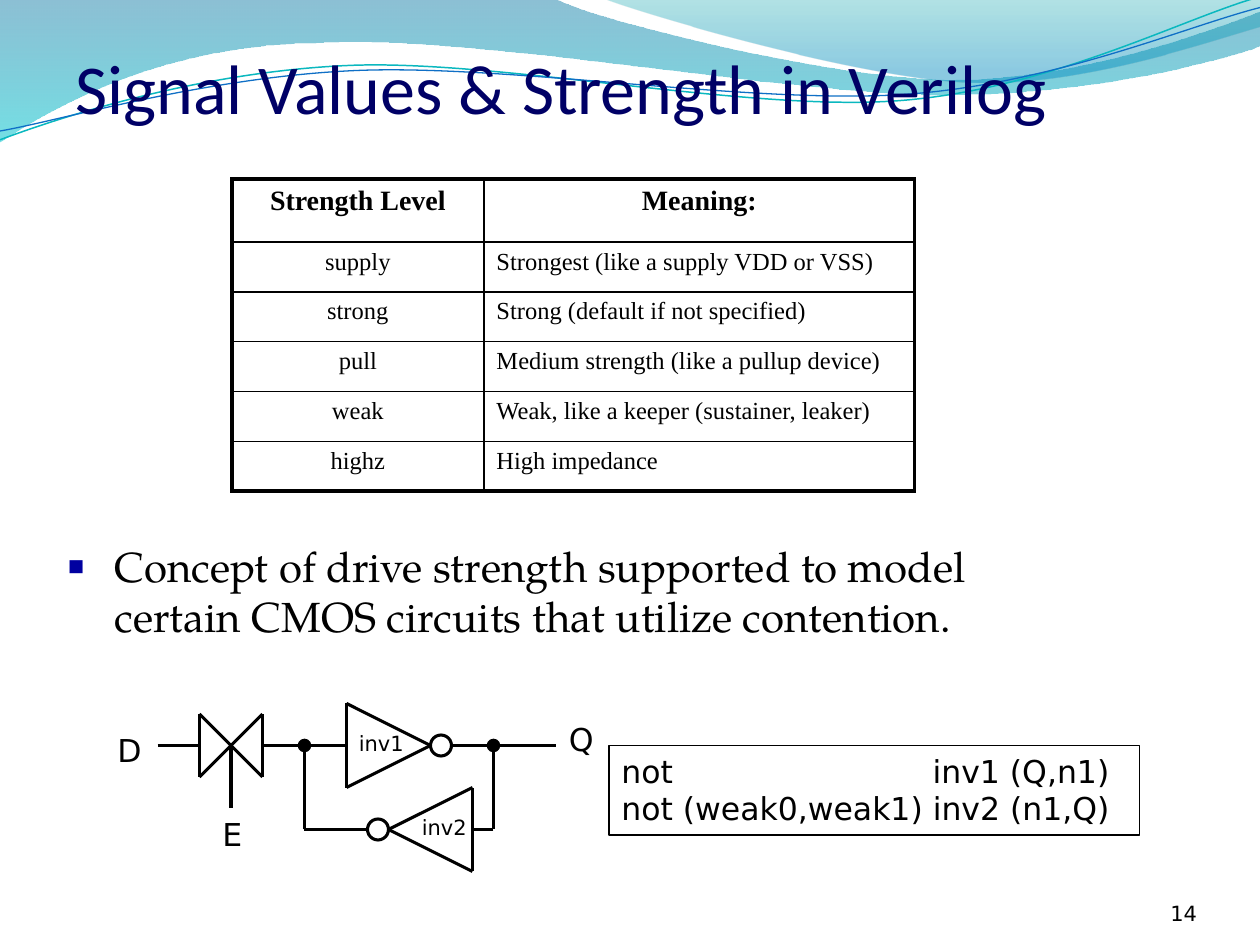
from itertools import pairwise

from lxml.etree import SubElement
from pptx import Presentation
from pptx.dml.color import RGBColor
from pptx.enum.shapes import MSO_CONNECTOR, MSO_SHAPE
from pptx.enum.text import MSO_ANCHOR, MSO_AUTO_SIZE, PP_ALIGN
from pptx.oxml.ns import qn
from pptx.util import Inches, Pt

COLORS = {
    "ink": "000000", "title": "000066", "bullet": "0000A0",
    "deep": "0074A1", "aqua": "00C6CF", "teal": "00A1A9", "sky": "008BBF",
    "cyan_line": "0AB8BF", "blue_line": "0F6FC6",
}
SANS, SERIF = "DejaVu Sans", "Times New Roman"
UNIT = 1 / 12
STROKE = 1.75

ROWS = [
    ("Strength Level", "Meaning:"),
    ("supply", "Strongest (like a supply VDD or VSS)"),
    ("strong", "Strong (default if not specified)"),
    ("pull", "Medium strength (like a pullup device)"),
    ("weak", "Weak, like a keeper (sustainer, leaker)"),
    ("highz", "High impedance"),
]
BANDS = [
    ([(0, -0.01), (4.4, -0.01), (4.76, 0.17, 6.64, 0.63, 7.58, 0.63),
      (8.53, 0.63, 9.58, 0.26, 10, 0.09), (10.01, 0.36),
      (9.83, 0.44, 8.7, 0.76, 7.46, 0.75), (6.22, 0.75, 3.82, 0.28, 2.57, 0.34),
      (1.29, 0.35, 0.46, 0.83, -0.01, 1.13)],
     [(0, "deep", 45), (1, "aqua", 55)]),
    ([(4.79, -0.01), (5.09, 0.11, 6.82, 0.62, 7.69, 0.65),
      (8.56, 0.69, 9.61, 0.32, 10, 0.21), (10, 0)],
     [(0, "teal", 30), (0.8, "sky", 45)]),
]
STRANDS = [
    ([(0, 1.11), (0.48, 0.93, 1.58, 0.57, 2.77, 0.52),
      (3.95, 0.47, 5.93, 0.89, 7.13, 0.8), (8.33, 0.71, 9.38, 0.15, 9.98, -0.02)],
     "cyan_line", 0.85),
    ([(0, 1.04), (0.47, 0.96, 1.64, 0.61, 2.83, 0.56),
      (4.03, 0.51, 5.97, 0.83, 7.17, 0.75), (8.36, 0.67, 9.41, 0.21, 10, 0.06)],
     "blue_line", 0.75),
]
WIRES = [
    [(15, 71), (19, 71)],
    [(19, 68), (25, 74), (25, 68), (19, 74), (19, 68)],
    [(22, 71), (22, 77)],
    [(25, 71), (33, 71)],
    [(33, 75), (33, 67), (41, 71), (33, 75)],
    [(43, 71), (47, 71), (53, 71)],
    [(47, 71), (47, 79), (45, 79)],
    [(45, 83), (45, 75), (37, 79), (45, 83)],
    [(35, 79), (31, 79), (29, 79), (29, 71)],
]
CIRCLES = [(42, 71, 2, False), (36, 79, 2, False), (47, 71, 1, True), (29, 71, 1, True)]
LABELS = [
    ("D", 10, 69, 0.4, 0.4, 18), ("Q", 53, 68, 0.4, 0.4, 18),
    ("E", 20, 77, 0.36, 0.4, 18), ("inv1", 33, 69, 0.56, 0.3, 12),
    ("inv2", 39, 77, 0.56, 0.3, 12),
]


def rgb(name):
    """Return the palette colour."""
    return RGBColor.from_string(COLORS[name])


def add_run(p, text, size, font, color="ink", bold=False):
    """Add one formatted run."""
    r = p.add_run()
    r.text = text
    r.font.size, r.font.name, r.font.bold = Pt(size), font, bold
    r.font.color.rgb = rgb(color)


def set_line(sp, color, width):
    """Set the outline colour and width."""
    sp.line.color.rgb = rgb(color)
    sp.line.width = Pt(width)


def add_outline(s, segments, close):
    """Add a freeform whose six-number segments are cubic curves."""
    first, *rest = [(Inches(x), Inches(y)) for seg in segments
                    for x, y in zip(seg[::2], seg[1::2])]
    fb = s.shapes.build_freeform(*first)
    fb.add_line_segments(rest, close=close)
    sp = fb.convert_to_shape()
    sp.shadow.inherit = False
    steps = iter(list(sp._element.iter(qn("a:lnTo"))))
    for seg in segments[1:]:
        step = next(steps)
        if len(seg) == 6:
            step.tag = qn("a:cubicBezTo")
            for extra in (next(steps), next(steps)):
                step.append(extra[0])
                extra.getparent().remove(extra)
    return sp


def add_band(s, segments, stops):
    """Add a wave filled with a translucent vertical gradient."""
    sp = add_outline(s, segments, True)
    sp.line.fill.background()
    sp.fill.gradient()
    sp.fill.gradient_angle = 270
    for stop, (pos, color, _) in zip(sp.fill.gradient_stops, stops):
        stop.position, stop.color.rgb = pos, rgb(color)
    for clr, (_, _, alpha) in zip(sp._element.iter(qn("a:srgbClr")), stops):
        SubElement(clr, qn("a:alpha"), val=str(alpha * 1000))


def add_strand(s, segments, color, width):
    """Add an open wave line."""
    sp = add_outline(s, segments, False)
    sp.fill.background()
    set_line(sp, color, width)


def add_wire(s, points):
    """Join grid points with connectors."""
    for a, b in pairwise(points):
        ends = [Inches(v * UNIT) for v in (*a, *b)]
        sp = s.shapes.add_connector(MSO_CONNECTOR.STRAIGHT, *ends)
        set_line(sp, "ink", STROKE)
        SubElement(sp._element.spPr, qn("a:effectLst"))


def add_circle(s, col, row, size, filled):
    """Add a circle centred on a grid point."""
    box = [Inches(v * UNIT) for v in (col - size / 2, row - size / 2, size, size)]
    sp = s.shapes.add_shape(MSO_SHAPE.OVAL, *box)
    sp.shadow.inherit = False
    sp.fill.background()
    if filled:
        sp.fill.solid()
        sp.fill.fore_color.rgb = rgb("ink")
    set_line(sp, "ink", STROKE)


def add_label(s, text, col, row, w, h, size):
    """Add a circuit label at a grid point."""
    sp = s.shapes.add_textbox(*map(Inches, (col * UNIT, row * UNIT, w, h)))
    sp.text_frame.word_wrap = False
    add_run(sp.text_frame.paragraphs[0], text, size, SANS)


def add_code(s):
    """Add the framed code with a tab stop for the instance names."""
    box = map(Inches, (58 * UNIT, 71 * UNIT, 4.21, 0.71))
    sp = s.shapes.add_shape(MSO_SHAPE.RECTANGLE, *box)
    sp.shadow.inherit = False
    sp.fill.background()
    set_line(sp, "ink", 0.75)
    tf = sp.text_frame
    tf.word_wrap, tf.vertical_anchor = True, MSO_ANCHOR.TOP
    for text in ("not\tinv1 (Q,n1)", "not (weak0,weak1) inv2 (n1,Q)"):
        p = tf.add_paragraph() if tf.text else tf.paragraphs[0]
        p.alignment = PP_ALIGN.LEFT
        tabs = SubElement(p._p.get_or_add_pPr(), qn("a:tabLst"))
        SubElement(tabs, qn("a:tab"), pos=str(Inches(2.47)), algn="l")
        add_run(p, text, 18, SANS)


def set_borders(cell, widths):
    """Draw the borders of a cell, given by side."""
    for side, width in widths.items():
        ln = SubElement(cell._tc.get_or_add_tcPr(), qn(f"a:ln{side}"), w=str(Pt(width)))
        SubElement(SubElement(ln, qn("a:solidFill")), qn("a:srgbClr"), val=COLORS["ink"])


def add_strengths(s):
    """Add the strength table with a heavy outer frame."""
    n, height, head_height = len(ROWS), 2.48, 0.5
    box = map(Inches, (1.84, 1.42, 5.42, height))
    tbl = s.shapes.add_table(n, 2, *box).table
    tbl.first_row = tbl.horz_banding = False
    tbl.columns[0].width, tbl.columns[1].width = Inches(2), Inches(3.42)
    for i, texts in enumerate(ROWS):
        head = i == 0
        tbl.rows[i].height = Inches(head_height if head else (height - head_height) / (n - 1))
        for j, text in enumerate(texts):
            cell = tbl.cell(i, j)
            outer = {"L": j == 0, "R": j == 1, "T": head, "B": i == n - 1}
            set_borders(cell, {k: 2.25 if v else 1 for k, v in outer.items()})
            cell.fill.background()
            p = cell.text_frame.paragraphs[0]
            p.alignment = PP_ALIGN.CENTER if head or j == 0 else PP_ALIGN.LEFT
            add_run(p, text, 16 if head else 14, SERIF, bold=head)


def fill_placeholder(sp, box, text, size, font, color):
    """Move a placeholder and fill it with one paragraph."""
    sp.left, sp.top, sp.width, sp.height = map(Inches, box)
    tf = sp.text_frame
    tf.auto_size, tf.vertical_anchor = MSO_AUTO_SIZE.NONE, MSO_ANCHOR.TOP
    p = tf.paragraphs[0]
    p.alignment = PP_ALIGN.LEFT
    add_run(p, text, size, font, color)
    return p


def set_bullet(p, indent):
    """Give a paragraph a coloured square bullet."""
    pPr = p._p.get_or_add_pPr()
    pPr.set("marL", str(Inches(indent)))
    pPr.set("indent", str(-Inches(indent)))
    SubElement(SubElement(pPr, qn("a:buClr")), qn("a:srgbClr"), val=COLORS["bullet"])
    SubElement(pPr, qn("a:buSzPct"), val="125000")
    SubElement(pPr, qn("a:buChar"), char="▪")


def add_page_number(s, text):
    """Add the page number at the lower right."""
    tf = s.shapes.add_textbox(*map(Inches, (8.67, 6.95, 0.83, 0.4))).text_frame
    tf.margin_left = tf.margin_right = tf.margin_top = tf.margin_bottom = 0
    tf.vertical_anchor, tf.word_wrap = MSO_ANCHOR.BOTTOM, True
    tf.paragraphs[0].alignment = PP_ALIGN.RIGHT
    add_run(tf.paragraphs[0], text, 12, SANS)


def main():
    """Build the slide."""
    prs = Presentation()
    prs.slide_width, prs.slide_height = Inches(10), Inches(7.5)
    s = prs.slides.add_slide(prs.slide_layouts[1])
    title, body = s.placeholders
    for band in BANDS:
        add_band(s, *band)
    for strand in STRANDS:
        add_strand(s, *strand)
    for sp in (title, body):
        s.shapes._spTree.append(sp._element)
    fill_placeholder(title, (0.5, 0.3, 9, 1.25),
                     "Signal Values & Strength in Verilog", 40, "Calibri", "title")
    p = fill_placeholder(body, (0.43, 4.24, 7.96, 1),
                         "Concept of drive strength supported to model certain "
                         "CMOS circuits that utilize contention.",
                         24, "TeX Gyre Pagella", "ink")
    set_bullet(p, 0.38)
    add_strengths(s)
    for points in WIRES:
        add_wire(s, points)
    for circle in CIRCLES:
        add_circle(s, *circle)
    for label in LABELS:
        add_label(s, *label)
    add_code(s)
    add_page_number(s, "14")
    prs.save("out.pptx")


if __name__ == "__main__":
    main()
